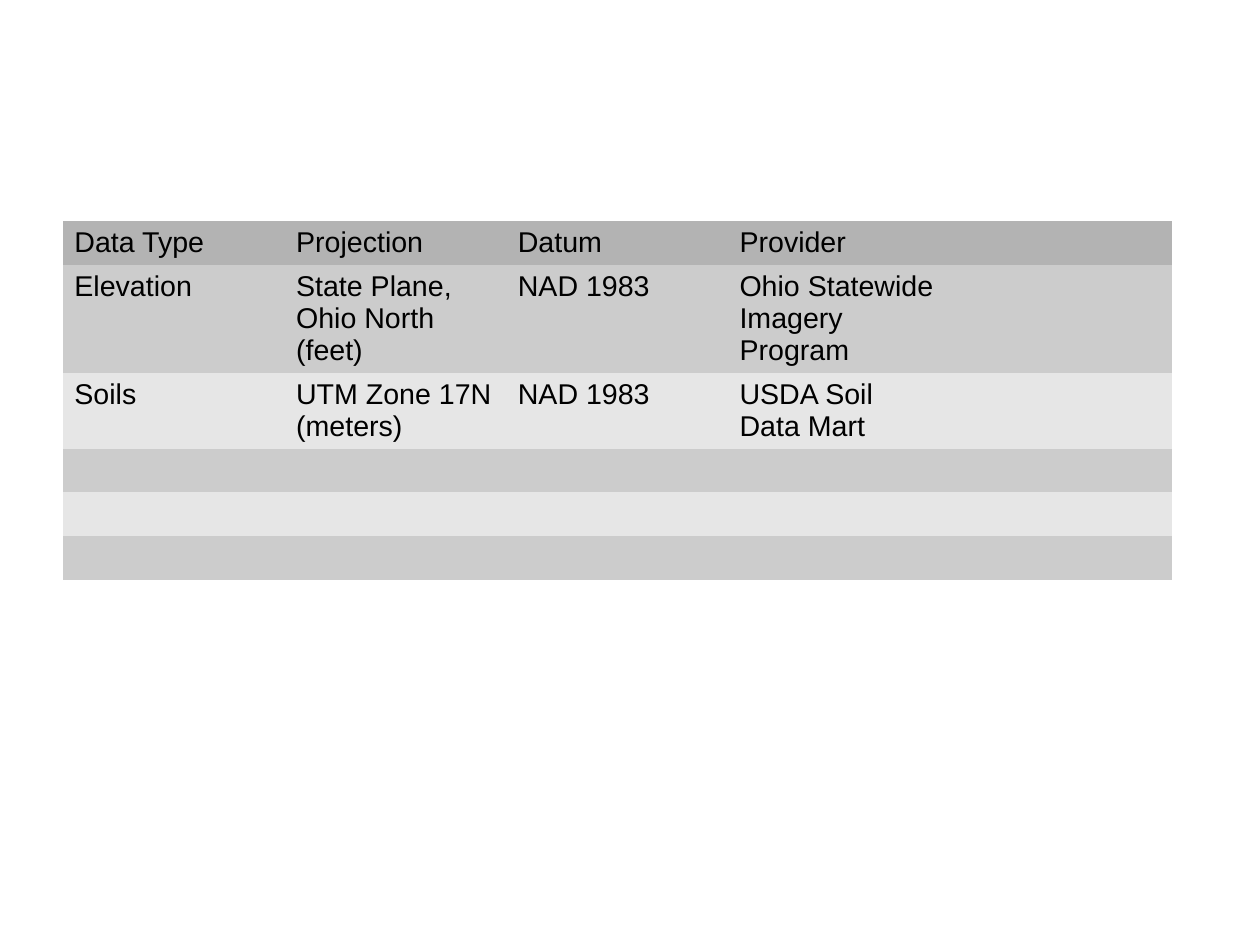
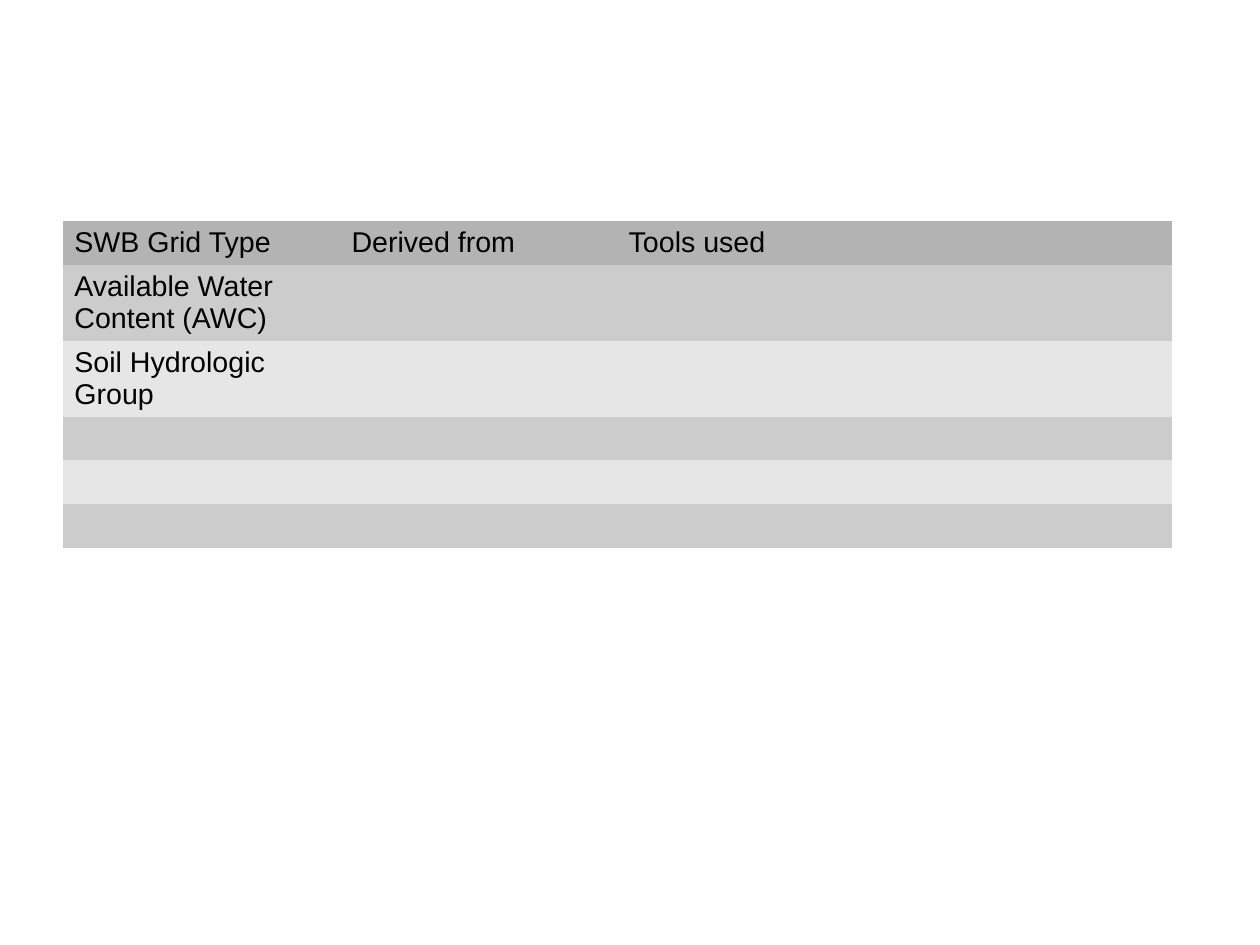
import lxml.etree
import pptx
import pptx.dml.color
import pptx.oxml.ns
import pptx.util

THEME = {
    "header": "B3B3B3",
    "bands": ("CCCCCC", "E6E6E6"),
    "font": {"name": "Arial", "size": pptx.util.Pt(18)},
    "text": "000000",
    "plain_table": "{2D5ABB26-0587-4C30-8999-92F81FD0307C}",
}

# Shared table geometry, in points
LEFT, TOP, WIDTH = 39.69, 139.2, 698.45
LINE, PADDING = 20.2, 7.4

# Each table: column count, then rows as (text lines, filled cells)
EMPTY_ROWS = [(1, [])] * 3
TABLES = [
    (5, [
        (1, ["Data Type", "Projection", "Datum", "Provider"]),
        (3, ["Elevation", "State Plane, Ohio North (feet)", "NAD 1983",
             "Ohio Statewide Imagery Program"]),
        (2, ["Soils", "UTM Zone 17N (meters)", "NAD 1983", "USDA Soil Data Mart"]),
        *EMPTY_ROWS,
    ]),
    (4, [
        (1, ["SWB Grid Type", "Derived from", "Tools used"]),
        (2, ["Available Water Content (AWC)"]),
        (2, ["Soil Hydrologic Group"]),
        *EMPTY_ROWS,
    ]),
]

deck = pptx.Presentation()
deck.slide_width = pptx.util.Pt(793.7)
deck.slide_height = pptx.util.Pt(595.3)
blank_layout = deck.slide_layouts[6]

for column_count, rows in TABLES:
    slide = deck.slides.add_slide(blank_layout)
    heights = [PADDING + LINE * lines for lines, texts in rows]
    frame = slide.shapes.add_table(
        len(rows), column_count, pptx.util.Pt(LEFT), pptx.util.Pt(TOP),
        pptx.util.Pt(WIDTH), pptx.util.Pt(sum(heights)))
    table = frame.table

    # Plain style without borders, bands or a bold header
    table.first_row = table.horz_banding = False
    for style in frame.element.iter(pptx.oxml.ns.qn("a:tableStyleId")):
        style.text = THEME["plain_table"]

    # Equal columns
    for column in table.columns:
        column.width = pptx.util.Pt(WIDTH / column_count)

    # Rows: header, then alternating bands
    for index, (lines, texts) in enumerate(rows):
        table.rows[index].height = pptx.util.Pt(heights[index])
        colour = THEME["bands"][(index - 1) % 2] if index else THEME["header"]
        for position, cell in enumerate(table.rows[index].cells):
            cell.fill.solid()
            cell.fill.fore_color.rgb = pptx.dml.color.RGBColor.from_string(colour)
            para = cell.text_frame.paragraphs[0]
            if position < len(texts):
                span = para.add_run()
                span.text = texts[position]
                for name, value in THEME["font"].items():
                    setattr(span.font, name, value)
                span.font.color.rgb = pptx.dml.color.RGBColor.from_string(THEME["text"])
            else:
                # Empty cells keep the same type size, so rows stay low
                end = lxml.etree.SubElement(
                    para._p, pptx.oxml.ns.qn("a:endParaRPr"),
                    sz=str(int(THEME["font"]["size"].pt * 100)))
                lxml.etree.SubElement(
                    end, pptx.oxml.ns.qn("a:latin"), typeface=THEME["font"]["name"])

deck.save("out.pptx")
